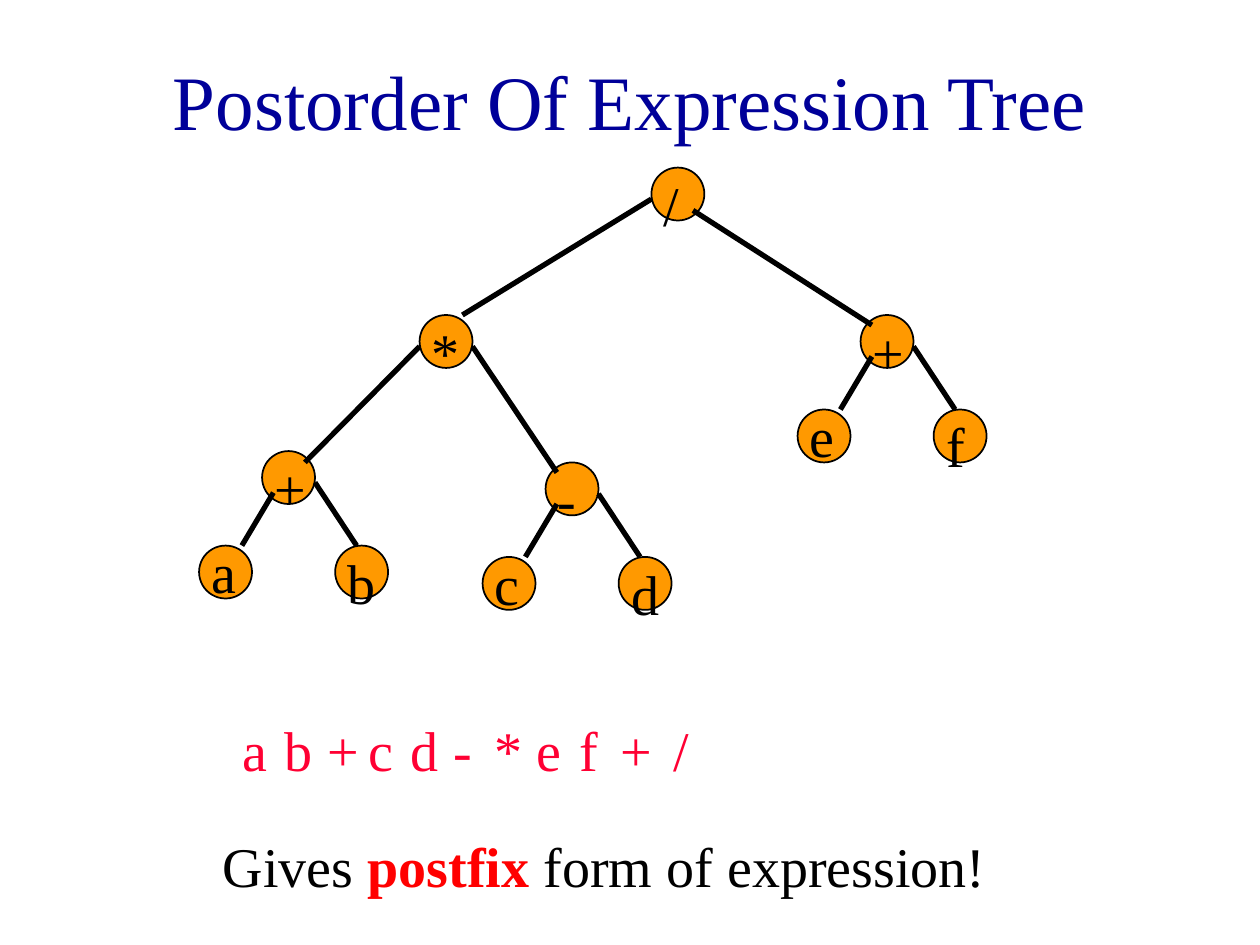
"""Build a slide showing the postorder of an expression tree."""
from lxml import etree
from pptx import Presentation
from pptx.dml.color import RGBColor
from pptx.enum import shapes, text
from pptx.oxml.ns import qn
from pptx.util import Inches, Pt

FONT = "Times New Roman"
BLACK, NAVY, ORANGE, RED, CRIMSON = "000000", "000099", "FF9900", "FF0000", "FF0033"
NODE = 0.42
LABEL_HEIGHT = 0.64
POSTFIX_STEP = 1 / 3


def rgb(value):
    """Turn a hex string into a colour."""
    return RGBColor.from_string(value)


def add_run(paragraph, words, size=32, color=BLACK, bold=False):
    """Add formatted text to a paragraph."""
    run = paragraph.add_run()
    run.text = words
    run.font.name = FONT
    run.font.size = Pt(size)
    run.font.bold = bold
    run.font.color.rgb = rgb(color)


def add_label(parent, left, top, words="", width=NODE, **style):
    """Add a one-line text box and return its paragraph."""
    box = parent.add_textbox(Inches(left), Inches(top), Inches(width), Inches(LABEL_HEIGHT))
    frame = box.text_frame
    frame.word_wrap = True
    frame.margin_top, frame.margin_bottom = Inches(0.1), Inches(0.03)
    if words:
        add_run(frame.paragraphs[0], words, **style)
    return frame.paragraphs[0]


def add_node(tree, left, top, symbol, rise=0.08):
    """Add a tree node whose label starts a little above its circle."""
    circle = tree.add_shape(shapes.MSO_SHAPE.OVAL, Inches(left), Inches(top),
                            Inches(NODE), Inches(NODE))
    circle.shadow.inherit = False
    circle.fill.solid()
    circle.fill.fore_color.rgb = rgb(ORANGE)
    circle.line.color.rgb = rgb(BLACK)
    circle.line.width = Pt(1)
    add_label(tree, left, top - rise, symbol)


def add_edge(tree, *ends):
    """Add a branch from x1, y1 to x2, y2."""
    edge = tree.add_connector(shapes.MSO_CONNECTOR.STRAIGHT, *map(Inches, ends))
    edge.line.color.rgb = rgb(BLACK)
    edge.line.width = Pt(3)
    etree.SubElement(edge._element.spPr, qn("a:effectLst"))


def add_operation(tree, left, top, operator, first, second):
    """Add an operator node with its two operand leaves."""
    leaf_top = top + 0.75
    add_node(tree, left, top, operator)
    add_node(tree, left - 0.5, leaf_top, first, rise=0.16)
    add_node(tree, left + 0.58, leaf_top, second)
    add_edge(tree, left + 0.09, top + 0.33, left - 0.16, leaf_top)
    add_edge(tree, left + NODE, top + 0.25, left + 0.75, leaf_top)


def add_tree(slide):
    """Add the whole expression tree as a group."""
    tree = slide.shapes.add_group_shape().shapes
    add_operation(tree, 2.08, 3.58, "+", "a", "b")
    add_operation(tree, 4.33, 3.67, "-", "c", "d")
    add_operation(tree, 6.83, 2.5, "+", "e", "f")
    add_node(tree, 3.33, 2.5, "*")
    add_edge(tree, 3.33, 2.75, 2.42, 3.67)
    add_edge(tree, 3.75, 2.75, 4.42, 3.75)
    add_node(tree, 5.17, 1.33, "/")
    add_edge(tree, 5.17, 1.58, 3.67, 2.5)
    add_edge(tree, 5.5, 1.67, 6.92, 2.58)


def add_title(slide, words):
    """Place and fill the title placeholder."""
    title = slide.shapes.title
    title.left, title.top = Inches(0.75), Inches(0.17)
    title.width, title.height = Inches(8.5), Inches(1.25)
    frame = title.text_frame
    frame.auto_size = text.MSO_AUTO_SIZE.NONE
    frame.vertical_anchor = text.MSO_ANCHOR.MIDDLE
    frame.paragraphs[0].alignment = text.PP_ALIGN.CENTER
    add_run(frame.paragraphs[0], words, size=44, color=NAVY)


def add_postfix(slide, symbols):
    """Add the visited symbols in a row, the root set slightly apart."""
    *visited, root = symbols
    for index, symbol in enumerate(visited):
        add_label(slide.shapes, 1.83 + index * POSTFIX_STEP, 5.58, symbol, color=CRIMSON)
    add_label(slide.shapes, 5.25, 5.58, root, color=CRIMSON)


def main():
    """Build and save the slide."""
    deck = Presentation()
    deck.slide_width, deck.slide_height = Inches(10), Inches(7.5)
    slide = deck.slides.add_slide(deck.slide_layouts[5])
    add_title(slide, "Postorder Of Expression Tree")
    add_tree(slide)
    remark = add_label(slide.shapes, 1.67, 6.5, width=6.42)
    add_run(remark, "Gives ")
    add_run(remark, "postfix ", color=RED, bold=True)
    add_run(remark, "form of expression!")
    add_postfix(slide, "ab+cd-*ef+/")
    deck.save("out.pptx")


if __name__ == "__main__":
    main()
